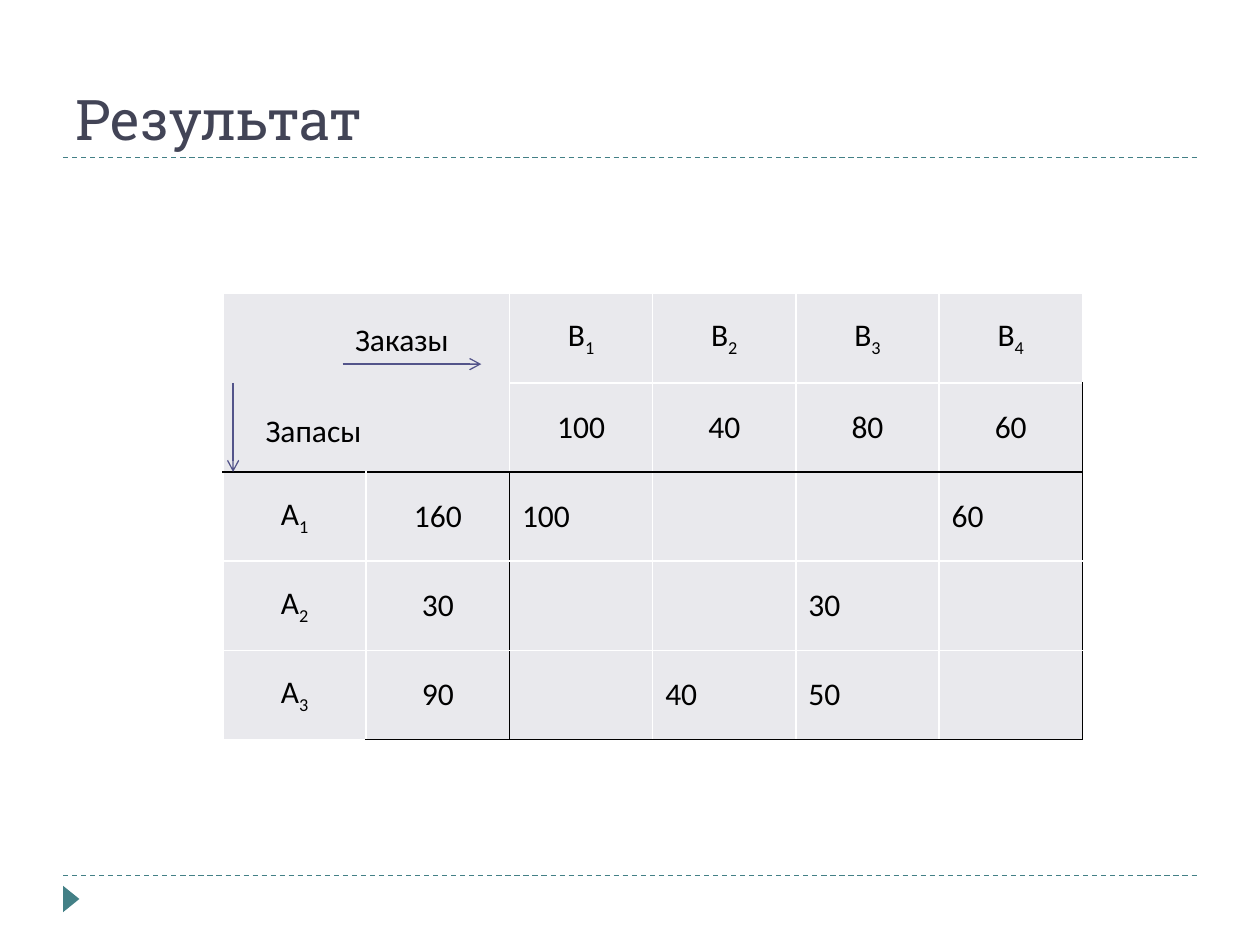
"""Build the slide showing the resulting transportation plan table."""
import lxml.etree
import pptx
import pptx.dml.color
import pptx.enum.dml
import pptx.enum.shapes
import pptx.enum.text
import pptx.oxml.ns
import pptx.util

BLACK = pptx.dml.color.RGBColor(0x00, 0x00, 0x00)
WHITE = pptx.dml.color.RGBColor(0xFF, 0xFF, 0xFF)
TEAL = pptx.dml.color.RGBColor(0x43, 0x80, 0x86)
INDIGO = pptx.dml.color.RGBColor(0x53, 0x54, 0x8A)
SLATE = pptx.dml.color.RGBColor(0x42, 0x44, 0x56)
PALE = pptx.dml.color.RGBColor(0xE9, 0xE9, 0xED)
INCH = pptx.util.Inches
qn = pptx.oxml.ns.qn

deck = pptx.Presentation()
deck.slide_width, deck.slide_height = INCH(10), INCH(7.5)
slide = deck.slides.add_slide(deck.slide_layouts[6])


def add_line(start, end, color, dash=None, arrow=False):
    line = slide.shapes.add_connector(
        pptx.enum.shapes.MSO_CONNECTOR.STRAIGHT, *map(INCH, start + end))
    line.line.color.rgb = color
    line.line.width = pptx.util.Pt(0.75)
    if dash:
        line.line.dash_style = dash
    if arrow:
        lxml.etree.SubElement(line.line._get_or_add_ln(), qn("a:tailEnd"), type="arrow")
    lxml.etree.SubElement(line._element.spPr, qn("a:effectLst"))


def add_run(paragraph, text, size=18, font="Calibri", color=BLACK, baseline=None):
    run = paragraph.add_run()
    run.text = text
    run.font.size = pptx.util.Pt(size)
    run.font.name = font
    run.font.color.rgb = color
    if baseline:
        run.font._element.set("baseline", baseline)


for rule_y in (6.95, 1.25):
    add_line((0.5, rule_y), (9.5, rule_y), TEAL, dash=pptx.enum.dml.MSO_LINE.DASH)

marker = slide.shapes.add_shape(
    pptx.enum.shapes.MSO_SHAPE.ISOSCELES_TRIANGLE, *map(INCH, (0.46, 7.07, 0.21, 0.13)))
marker.rotation = 90
marker.shadow.inherit = False
marker.fill.solid()
marker.fill.fore_color.rgb = TEAL
marker.line.fill.background()

title = slide.shapes.add_textbox(*map(INCH, (0.5, 0.17, 9, 1.08))).text_frame
title.word_wrap = True
title.vertical_anchor = pptx.enum.text.MSO_ANCHOR.BOTTOM
add_run(title.paragraphs[0], "Результат", 32, "Roboto Slab", SLATE)

PLAN = [
    ["", "", "B1", "B2", "B3", "B4"],
    ["", "", "100", "40", "80", "60"],
    ["A1", "160", "100", "", "", "60"],
    ["A2", "30", "", "", "30", ""],
    ["A3", "90", "", "40", "50", ""],
]
LEFT, TOP, WIDTH, HEIGHT = 1.77, 2.33, 6.82, 3.54
COL, ROW = WIDTH / 6, HEIGHT / 5
plan = slide.shapes.add_table(5, 6, *map(INCH, (LEFT, TOP, WIDTH, HEIGHT))).table
plan.first_row = plan.horz_banding = False
for column in plan.columns:
    column.width = INCH(COL)
for band in plan.rows:
    band.height = INCH(ROW)

for row, values in enumerate(PLAN):
    for col, value in enumerate(values):
        cell = plan.cell(row, col)
        corner = row < 2 and col < 2
        black_edges = {
            "a:lnL": row >= 2 and col == 2,
            "a:lnR": (row >= 1 and col == 5) or (row >= 2 and col == 1),
            "a:lnT": row == 2,
            "a:lnB": corner or row == 1 or (row == 4 and col >= 1),
        }
        for edge, is_black in black_edges.items():
            border = lxml.etree.SubElement(
                cell._tc.get_or_add_tcPr(), qn(edge), w=str(pptx.util.Pt(1)))
            paint = lxml.etree.SubElement(border, qn("a:solidFill"))
            lxml.etree.SubElement(
                paint, qn("a:srgbClr"), val=str(BLACK if is_black else WHITE))
        cell.fill.solid()
        cell.fill.fore_color.rgb = PALE
        cell.vertical_anchor = pptx.enum.text.MSO_ANCHOR.MIDDLE
        entry = cell.text_frame.paragraphs[0]
        if row < 2 or col < 2:
            entry.alignment = pptx.enum.text.PP_ALIGN.CENTER
        if value[:1].isalpha():
            add_run(entry, value[0])
            add_run(entry, value[1], baseline="-25000")
        elif value:
            add_run(entry, value)
plan.cell(0, 0).merge(plan.cell(1, 1))

add_line((2.72, 2.89), (3.82, 2.89), INDIGO, arrow=True)
for heading, box in (("Заказы", (2.72, 2.49, 0.95, 0.4)),
                     ("Запасы", (2.01, 3.21, 0.97, 0.4))):
    label = slide.shapes.add_textbox(*map(INCH, box)).text_frame
    label.word_wrap = False
    label.auto_size = pptx.enum.text.MSO_AUTO_SIZE.SHAPE_TO_FIT_TEXT
    add_run(label.paragraphs[0], heading)
add_line((1.85, TOP + ROW), (1.85, TOP + 2 * ROW), INDIGO, arrow=True)

deck.save("out.pptx")
